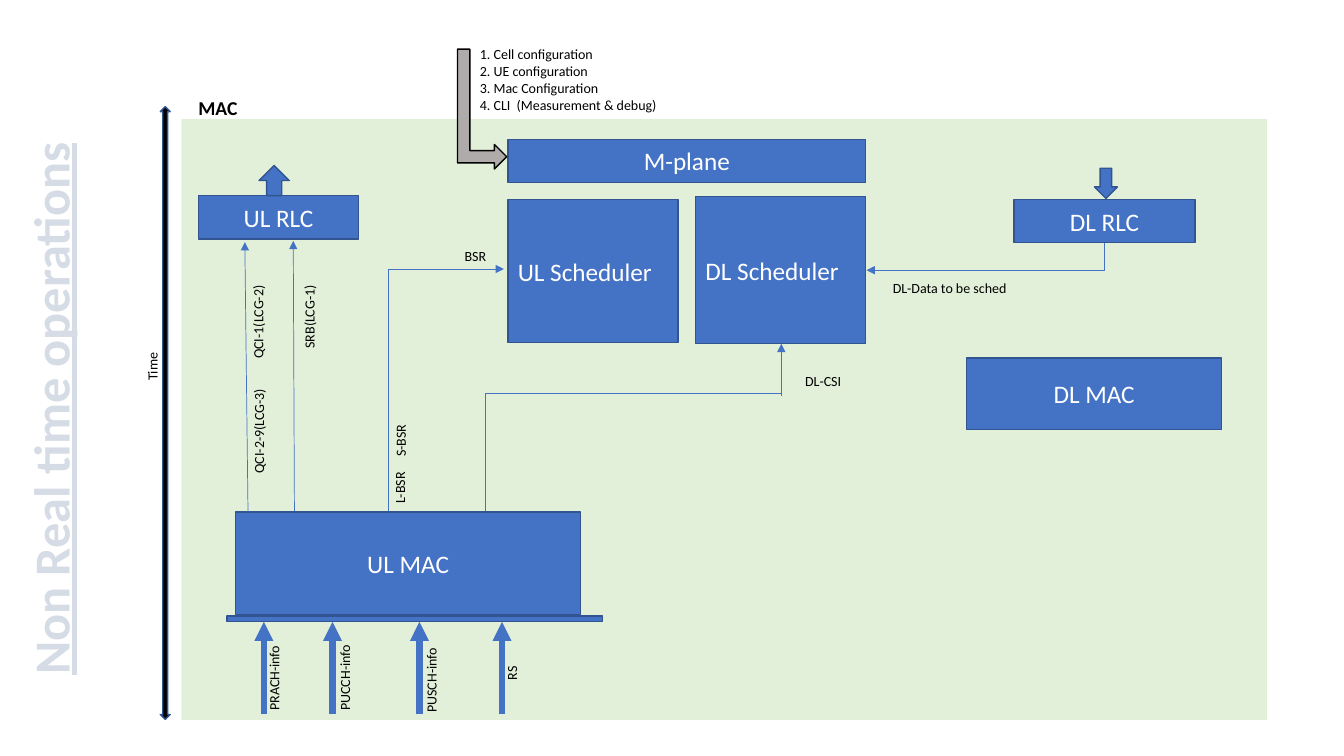
from typing import NamedTuple

from lxml.etree import SubElement
from pptx import Presentation
from pptx.dml.color import RGBColor
from pptx.enum.shapes import MSO_CONNECTOR as Link, MSO_SHAPE as Preset
from pptx.enum.text import MSO_ANCHOR as Anchor, MSO_AUTO_SIZE as AutoSize, PP_ALIGN as Align
from pptx.oxml.ns import qn
from pptx.util import Cm, Pt

BLUE = RGBColor(0x44, 0x72, 0xC4)
NAVY = RGBColor(0x32, 0x54, 0x91)
GREEN = RGBColor(0xE2, 0xF0, 0xD9)
GREY = RGBColor(0xAF, 0xAB, 0xAB)
PALE = RGBColor(0xD6, 0xDC, 0xE5)
BLACK = RGBColor(0x00, 0x00, 0x00)
WHITE = RGBColor(0xFF, 0xFF, 0xFF)
FONT = "Calibri"
LABEL_HEIGHT = 0.69
UPWARD = 270


class Block(NamedTuple):
    left: float
    top: float
    width: float
    height: float
    text: str = ""
    align: Align = Align.CENTER
    preset: Preset = Preset.RECTANGLE
    rotation: float = 0
    fill: RGBColor = BLUE
    line: RGBColor | None = NAVY


class Flow(NamedTuple):
    start: tuple[float, float]
    end: tuple[float, float]
    kind: Link = Link.STRAIGHT
    arrow: bool = True
    weight: float = 0.5


class Label(NamedTuple):
    text: str
    left: float
    top: float
    width: float
    rotation: float = 0
    wrap: bool = False
    height: float = LABEL_HEIGHT
    size: float = 10
    bold: bool = False


BLOCKS = [
    Block(4.57, 3, 27.36, 15.14, fill=GREEN, line=None),
    Block(5.72, 15.52, 9.47, 0.15),
    Block(17.53, 4.95, 4.29, 3.71, "DL Scheduler", Align.LEFT),
    Block(12.8, 5.03, 4.29, 3.61, "UL Scheduler", Align.LEFT),
    Block(5, 4.93, 4.04, 1.09, "UL RLC"),
    Block(24.36, 9.02, 6.43, 1.8, "DL MAC"),
    Block(25.55, 5.03, 4.57, 1.09, "DL RLC"),
    Block(5.94, 12.9, 8.69, 2.59, "UL MAC"),
    Block(12.8, 3.51, 9.02, 1.09, "M-plane"),
    Block(6.53, 4.17, 0.76, 0.76, preset=Preset.UP_ARROW),
    Block(27.58, 4.24, 0.58, 0.76, preset=Preset.UP_ARROW, rotation=180),
    Block(10.64, 2.13, 3.02, 1.24, preset=Preset.BENT_UP_ARROW, rotation=90,
          fill=GREY, line=BLACK),
    Block(4.04, 2.69, 0.25, 15.44, preset=Preset.UP_DOWN_ARROW, fill=BLACK),
]

FLOWS = [
    Flow((7.42, 12.88), (7.39, 6.07)),
    Flow((6.25, 12.9), (6.17, 6.1)),
    Flow((12.24, 12.88), (19.69, 9.91), Link.ELBOW, arrow=False),
    Flow((19.69, 9.98), (19.69, 8.66)),
    Flow((9.8, 12.88), (12.7, 6.78), Link.ELBOW),
    Flow((27.84, 6.12), (21.84, 6.81), Link.ELBOW),
    *(Flow((x, 18), (x, 15.67), weight=4.5) for x in (6.65, 8.38, 10.57, 12.65)),
]

LABELS = [
    Label("DL-CSI", 20.04, 9.25, 1.42),
    Label("QCI-1(LCG-2)", 5.31, 7.75, 2.39, UPWARD),
    Label("QCI-2-9(LCG-3)", 5.18, 10.49, 2.69, UPWARD),
    Label("SRB(LCG-1)", 6.73, 7.62, 2.13, UPWARD),
    Label("BSR", 11.46, 6.1, 2.39, wrap=True),
    Label("L-BSR", 9.42, 11.94, 1.32, UPWARD),
    Label("S-BSR", 9.42, 10.74, 1.35, UPWARD),
    Label("DL-Data to be sched", 22.25, 6.93, 3.43),
    Label("PRACH-info", 5.36, 16.26, 3.1, UPWARD, wrap=True),
    Label("PUCCH-info", 7.14, 16.26, 3.1, UPWARD, wrap=True),
    Label("PUSCH-info", 9.32, 16.31, 3.1, UPWARD, wrap=True),
    Label("RS", 11.35, 15.49, 3.1, UPWARD, wrap=True),
    Label("Time", 3.23, 8.89, 1.22, UPWARD),
    Label("MAC", 4.75, 2.29, 2.39, wrap=True, height=0.86, size=14, bold=True),
]

CONFIGURATION = [
    "1. Cell configuration",
    "2. UE configuration",
    "3. Mac Configuration",
    "4. CLI  (Measurement & debug)",
]


def style_text(frame, size: float, color: RGBColor, align: Align = Align.LEFT,
               bold: bool = False, underline: bool = False) -> None:
    for para in frame.paragraphs:
        para.alignment = align
        for span in para.runs:
            font = span.font
            font.name, font.size = FONT, Pt(size)
            font.bold, font.underline = bold, underline
            font.color.rgb = color


def place(shape, left: float, top: float, width: float, height: float) -> None:
    shape.left, shape.top = Cm(left), Cm(top)
    shape.width, shape.height = Cm(width), Cm(height)


def draw_block(page, block: Block) -> None:
    shape = page.shapes.add_shape(block.preset, *map(Cm, block[:4]))
    shape.shadow.inherit = False
    shape.rotation = block.rotation
    shape.fill.solid()
    shape.fill.fore_color.rgb = block.fill
    if block.line is None:
        shape.line.fill.background()
    else:
        shape.line.color.rgb = block.line
        shape.line.width = Pt(1)
    if block.text:
        shape.text_frame.text = block.text
        shape.text_frame.vertical_anchor = Anchor.MIDDLE
        style_text(shape.text_frame, 18, WHITE, block.align)


def draw_flow(page, flow: Flow) -> None:
    connector = page.shapes.add_connector(flow.kind, *map(Cm, flow.start + flow.end))
    connector.line.color.rgb = BLUE
    connector.line.width = Pt(flow.weight)
    properties = connector._element.spPr
    if flow.kind == Link.ELBOW:
        # Turn right at the start, so the vertical leg comes first
        guides = properties.find(qn("a:prstGeom")).find(qn("a:avLst"))
        SubElement(guides, qn("a:gd"), name="adj1", fmla="val 0")
    if flow.arrow:
        SubElement(properties.find(qn("a:ln")), qn("a:tailEnd"), type="triangle")
    SubElement(properties, qn("a:effectLst"))


def draw_label(page, label: Label) -> None:
    box = page.shapes.add_textbox(
        *map(Cm, (label.left, label.top, label.width, label.height)))
    box.rotation = label.rotation
    box.text_frame.word_wrap = label.wrap
    box.text_frame.text = label.text
    style_text(box.text_frame, label.size, BLACK, bold=label.bold)


def write_title(page) -> None:
    title = page.shapes.title
    place(title, -5.79, 9.4, 14.07, 1.8)
    title.rotation = UPWARD
    frame = title.text_frame
    frame.text = "Non Real time operations"
    frame.word_wrap = False
    frame.auto_size = AutoSize.NONE
    style_text(frame, 36, PALE, Align.CENTER, bold=True, underline=True)


def write_configuration(page) -> None:
    body = page.placeholders[1]
    place(body, 11.84, 1.02, 5.94, 1.96)
    frame = body.text_frame
    frame.text = "\n".join(CONFIGURATION)
    frame.auto_size = AutoSize.NONE
    style_text(frame, 10, BLACK)
    for para in frame.paragraphs:
        para.space_before = Pt(0)
        layout = para._p.get_or_add_pPr()
        layout.set("marL", "0")
        layout.set("indent", "0")
        SubElement(layout, qn("a:buNone"))


def main() -> None:
    deck = Presentation()
    deck.slide_width, deck.slide_height = Cm(33.87), Cm(19.05)
    page = deck.slides.add_slide(deck.slide_layouts[1])

    # Title and configuration list
    write_title(page)
    write_configuration(page)

    # Diagram
    for block in BLOCKS:
        draw_block(page, block)
    for flow in FLOWS:
        draw_flow(page, flow)
    for label in LABELS:
        draw_label(page, label)

    deck.save("out.pptx")


if __name__ == "__main__":
    main()
